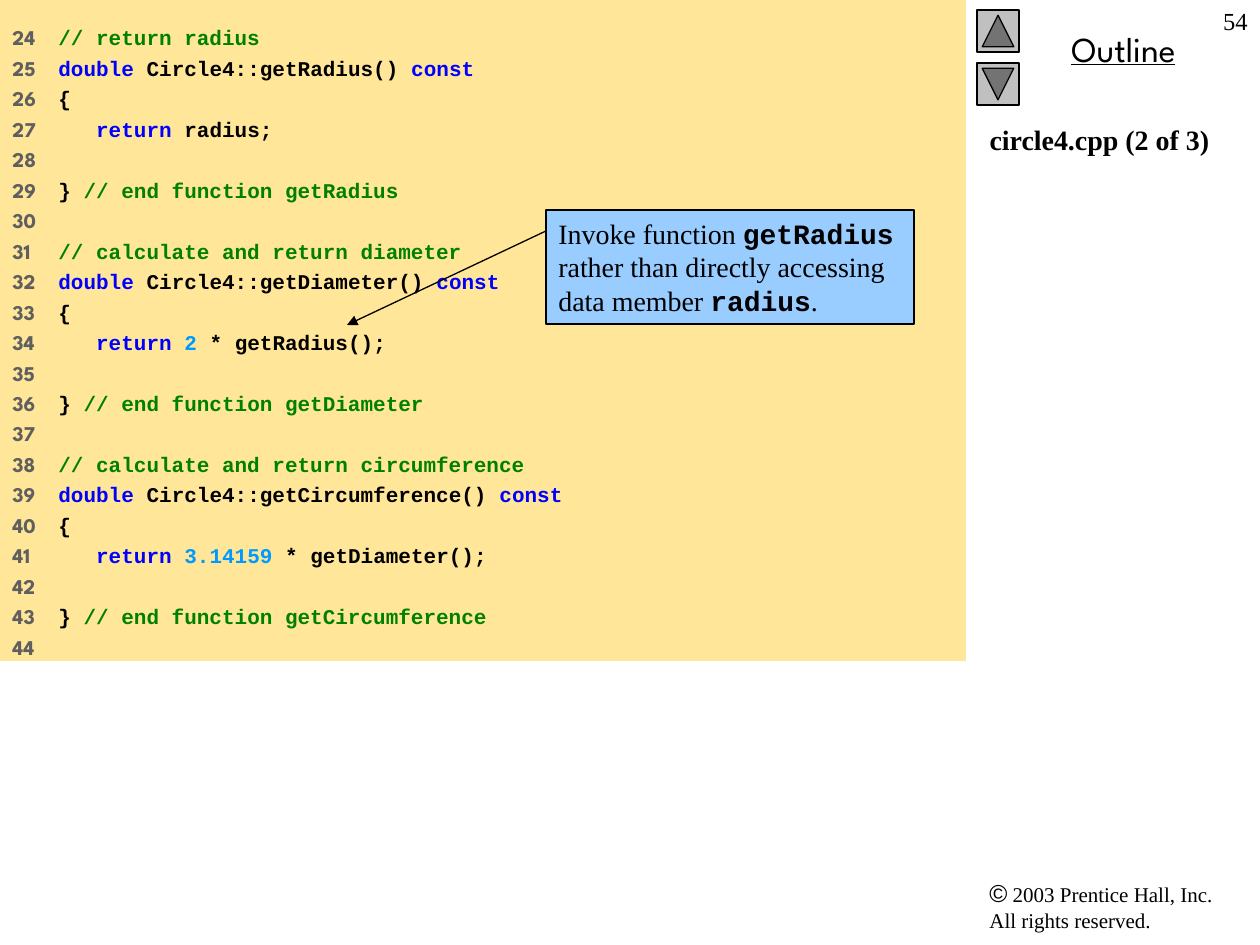
from lxml import etree
from pptx import Presentation
from pptx import util as u
from pptx.dml.color import RGBColor
from pptx.enum import shapes, text
from pptx.oxml import ns

PX = 914400 / 126
COLORS = {
    "black": "000000", "number": "5F5F5F", "comment": "008000",
    "keyword": "0000FF", "literal": "0099FF", "panel": "FFE699",
    "callout": "99CCFF", "button": "C0C0C0",
}
SERIF, CODE, DISPLAY = "Times New Roman", "Courier New", "League Spartan"


def px(*lengths):
    return [u.Emu(round(n * PX)) for n in lengths]


def add_run(paragraph, words, font, size, color="black", bold=False):
    run = paragraph.add_run()
    run.text = words
    run.font.name = font
    run.font.size = u.Pt(size)
    run.font.bold = bold
    run.font.color.rgb = RGBColor.from_string(COLORS[color])
    return run


deck = Presentation()
deck.slide_width, deck.slide_height = px(1260, 945)
slide = deck.slides.add_slide(deck.slide_layouts[5])

title = slide.shapes.title
title.left, title.top, title.width, title.height = px(977, 116, 283, 661)
title.text_frame.vertical_anchor = text.MSO_ANCHOR.TOP
title.text_frame.auto_size = text.MSO_AUTO_SIZE.NONE
title.text_frame.paragraphs[0].alignment = text.PP_ALIGN.LEFT
add_run(title.text_frame.paragraphs[0], "circle4.cpp (2 of 3)", SERIF, 16, bold=True)

rights = slide.shapes.add_textbox(*px(977, 872, 273, 68)).text_frame
rights.word_wrap = True
add_run(rights.paragraphs[0], "©", "Arial", 14)
add_run(rights.paragraphs[0], " 2003 Prentice Hall, Inc.", SERIF, 12)
rights.paragraphs[0].add_line_break()
add_run(rights.paragraphs[0], "All rights reserved.", SERIF, 12)

outline = slide.shapes.add_textbox(*px(987, 21, 273, 55)).text_frame
outline.word_wrap = True
outline.paragraphs[0].alignment = text.PP_ALIGN.CENTER
add_run(outline.paragraphs[0], "Outline", DISPLAY, 20).font.underline = True

for top, turn in ((10, 90), (63, 270)):
    button = slide.shapes.add_shape(
        shapes.MSO_SHAPE.ACTION_BUTTON_BACK_OR_PREVIOUS, *px(977, top, 42, 42))
    button.rotation = turn
    button.shadow.inherit = False
    button.fill.solid()
    button.fill.fore_color.rgb = RGBColor.from_string(COLORS["button"])
    button.line.color.rgb = RGBColor.from_string(COLORS["black"])
    button.line.width = u.Pt(0.75)

listing = [
    [("// return radius", "comment")],
    [("double", "keyword"), (" Circle4::getRadius() ", "black"), ("const", "keyword")],
    [("{", "black")],
    [("   return", "keyword"), (" radius;", "black")],
    [],
    [("} ", "black"), ("// end function getRadius", "comment")],
    [],
    [("// calculate and return diameter", "comment")],
    [("double", "keyword"), (" Circle4::getDiameter() ", "black"), ("const", "keyword")],
    [("{", "black")],
    [("   return ", "keyword"), ("2", "literal"), (" * getRadius();", "black")],
    [],
    [("} ", "black"), ("// end function getDiameter", "comment")],
    [],
    [("// calculate and return circumference", "comment")],
    [("double", "keyword"), (" Circle4::getCircumference() ", "black"), ("const", "keyword")],
    [("{", "black")],
    [("   return ", "keyword"), ("3.14159", "literal"), (" * getDiameter();", "black")],
    [],
    [("} ", "black"), ("// end function getCircumference", "comment")],
    [],
]

panel = slide.shapes.add_shape(shapes.MSO_SHAPE.RECTANGLE, *px(0, 0, 966, 661))
panel.shadow.inherit = False
panel.fill.solid()
panel.fill.fore_color.rgb = RGBColor.from_string(COLORS["panel"])
panel.line.fill.background()
code = panel.text_frame
code.word_wrap = True
code.vertical_anchor = text.MSO_ANCHOR.TOP
code.margin_top, code.margin_bottom = px(25, 25)
for number, tokens in enumerate(listing, 24):
    line = code.paragraphs[0] if number == 24 else code.add_paragraph()
    line.alignment = text.PP_ALIGN.LEFT
    if number > 24:
        line.space_before = u.Pt(3)
    stops = etree.SubElement(line._p.get_or_add_pPr(), ns.qn("a:tabLst"))
    etree.SubElement(stops, ns.qn("a:tab"), pos=str(px(46)[0]), algn="l")
    add_run(line, f"{number}\t" if tokens else str(number), DISPLAY, 12, "number", True)
    for words, color in tokens:
        add_run(line, words, CODE, 12, color, True)

callout = slide.shapes.add_shape(shapes.MSO_SHAPE.RECTANGLE, *px(546, 210, 368, 114))
callout.shadow.inherit = False
callout.fill.solid()
callout.fill.fore_color.rgb = RGBColor.from_string(COLORS["callout"])
callout.line.color.rgb = RGBColor.from_string(COLORS["black"])
callout.line.width = u.Pt(0.75)
callout.text_frame.word_wrap = True
callout.text_frame.vertical_anchor = text.MSO_ANCHOR.TOP
advice = callout.text_frame.paragraphs[0]
advice.alignment = text.PP_ALIGN.LEFT
for words, is_code in (
    ("Invoke function ", False), ("getRadius", True),
    (" rather than directly accessing data member ", False),
    ("radius", True), (".", False),
):
    add_run(advice, words, CODE if is_code else SERIF, 16, bold=is_code)

pointer = slide.shapes.add_connector(
    shapes.MSO_CONNECTOR.STRAIGHT, *px(546, 231, 347, 325))
pointer.line.color.rgb = RGBColor.from_string(COLORS["black"])
pointer.line.width = u.Pt(0.75)
etree.SubElement(pointer.line._get_or_add_ln(), ns.qn("a:tailEnd"), type="triangle")
etree.SubElement(pointer._element.spPr, ns.qn("a:effectLst"))

page = slide.shapes.add_textbox(*px(1197, 0, 63, 63)).text_frame
page.word_wrap = True
page.paragraphs[0].alignment = text.PP_ALIGN.RIGHT
add_run(page.paragraphs[0], "54", SERIF, 14)

deck.save("out.pptx")
